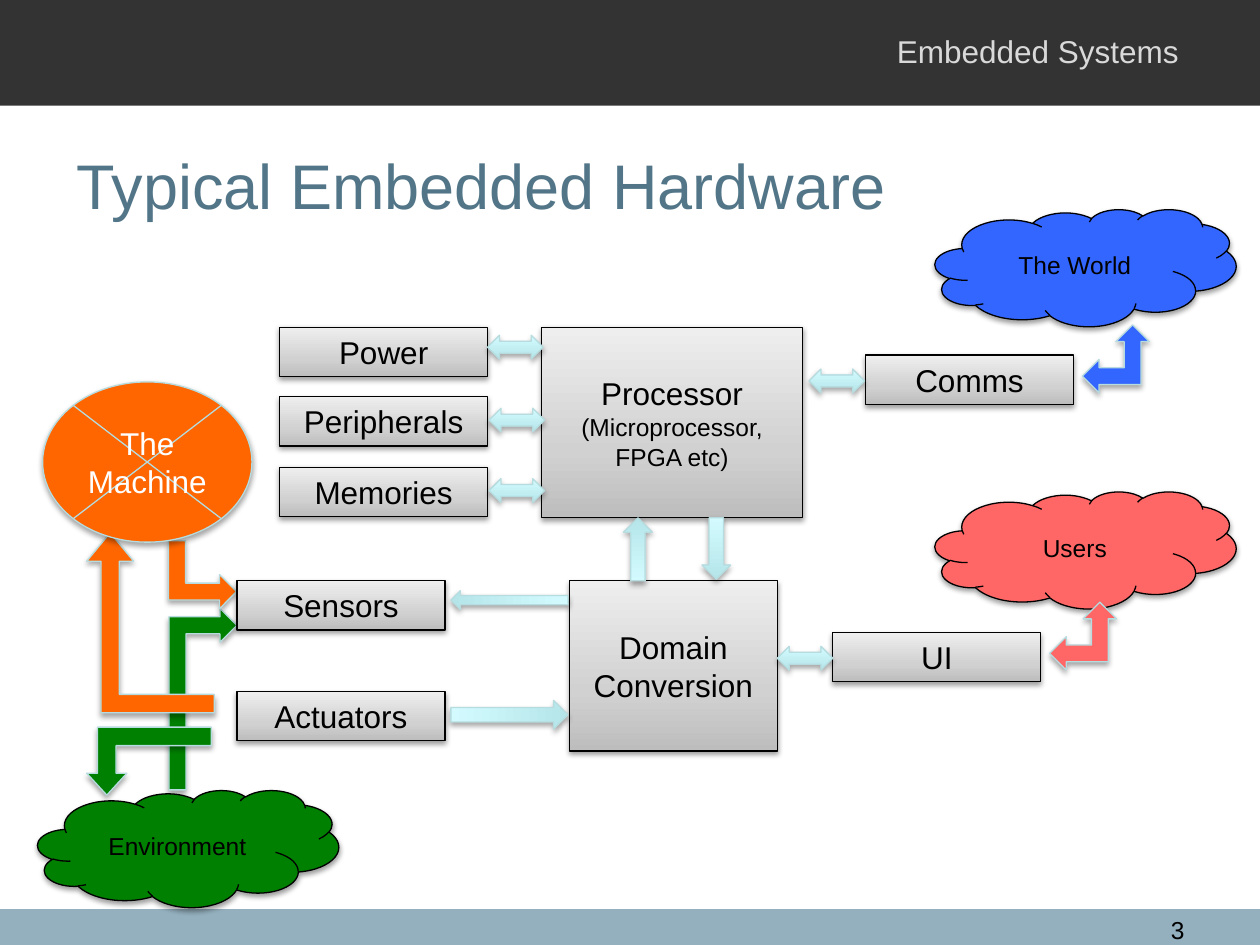
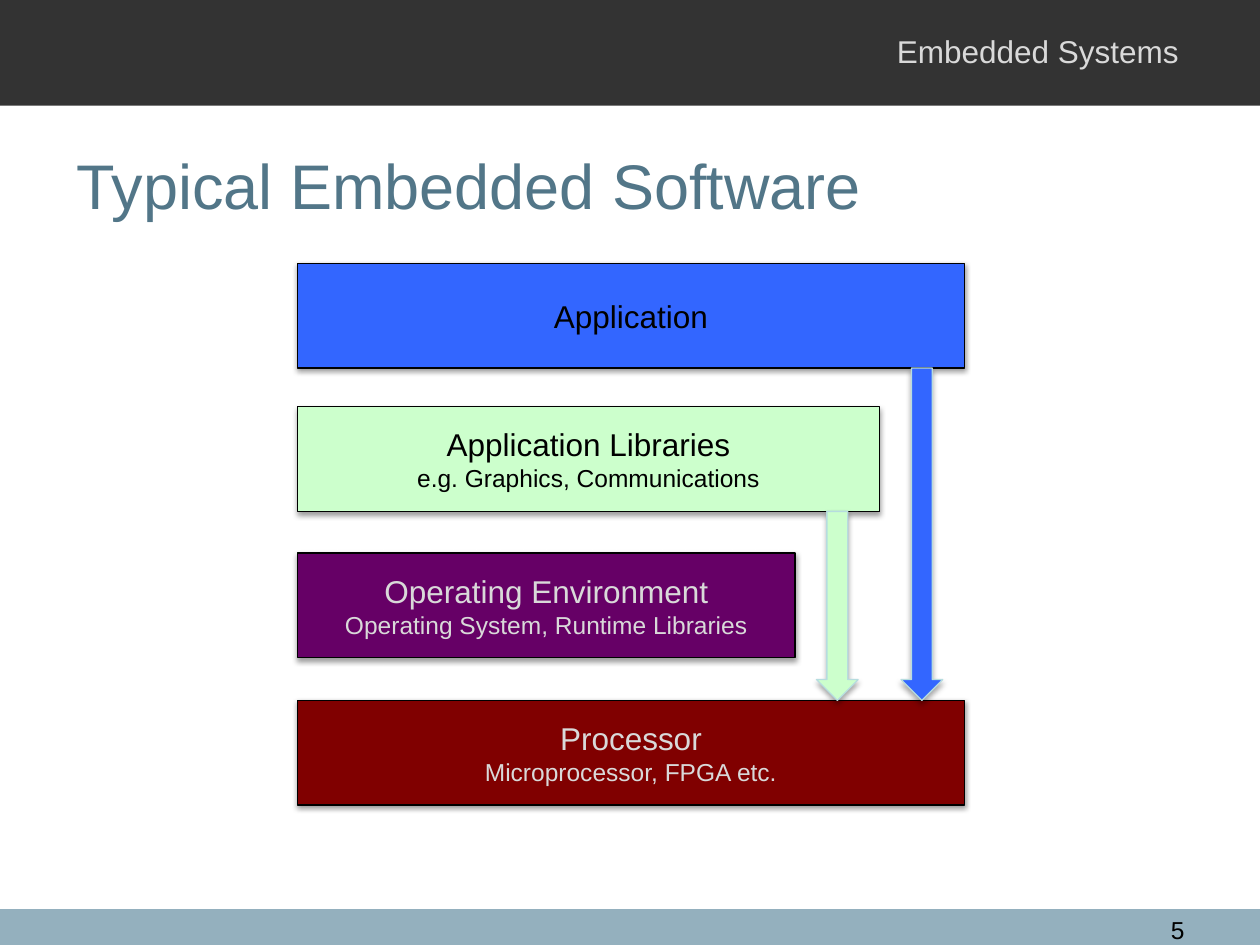
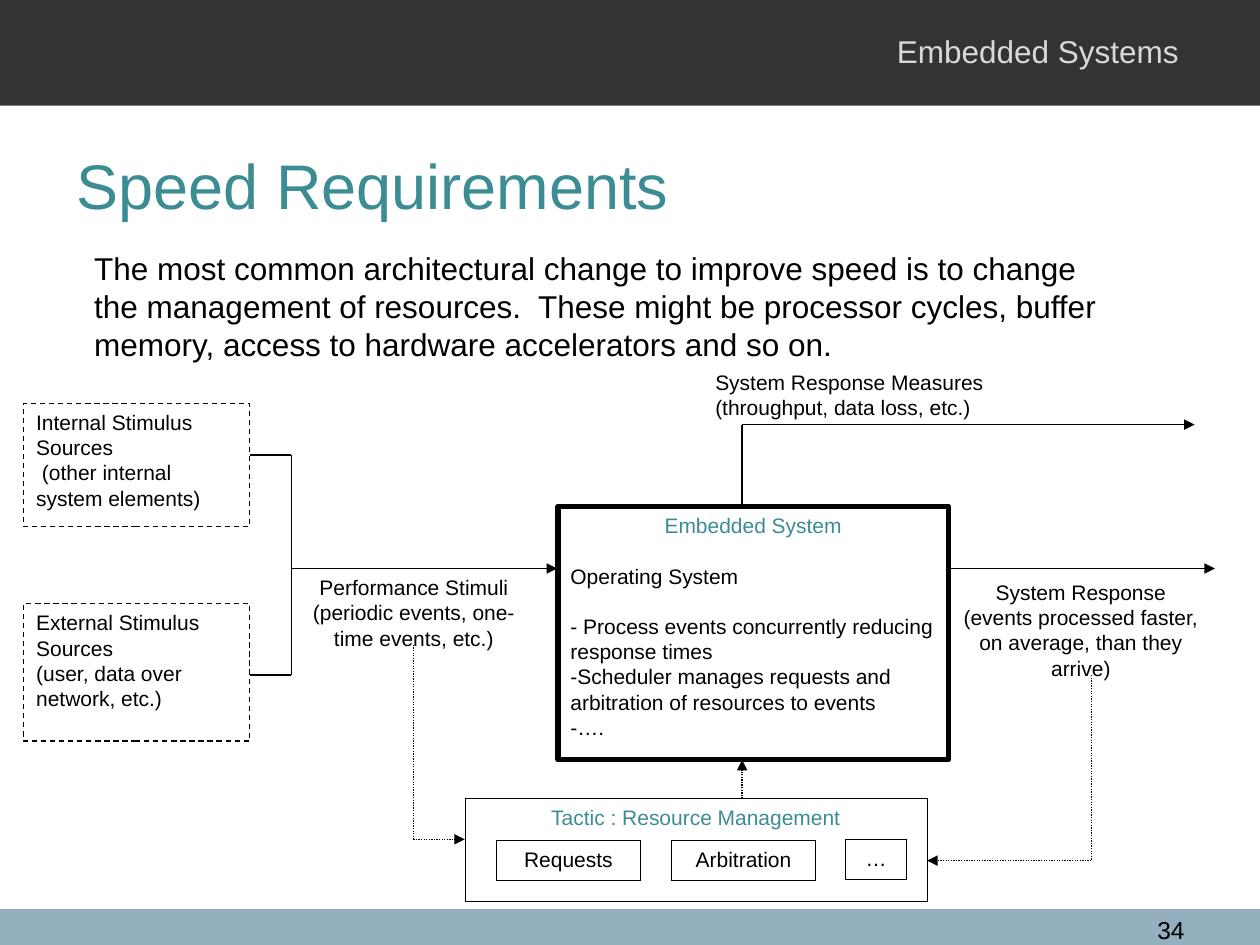
import copy
import itertools

import lxml.etree
import pptx
import pptx.dml.color
import pptx.enum.dml
import pptx.enum.shapes
import pptx.enum.text
import pptx.oxml.ns
import pptx.util

Cm, Pt = pptx.util.Cm, pptx.util.Pt
RGB = pptx.dml.color.RGBColor
SHAPE = pptx.enum.shapes.MSO_SHAPE
DASH = pptx.enum.dml.MSO_LINE.DASH
DOT = pptx.enum.dml.MSO_LINE.ROUND_DOT
ALIGN = pptx.enum.text.PP_ALIGN
ANCHOR = pptx.enum.text.MSO_ANCHOR
qn = pptx.oxml.ns.qn

# Colours
BLACK, WHITE = RGB(0, 0, 0), RGB(255, 255, 255)
DARK, PALE = RGB(0x33, 0x33, 0x33), RGB(0xD9, 0xD9, 0xD9)
STEEL, SLATE = RGB(0x94, 0xB0, 0xBE), RGB(0x52, 0x76, 0x88)
TEAL, EDGE = RGB(0x3C, 0x8C, 0x93), RGB(0xB6, 0xDC, 0xDF)
GREEN, ORANGE = RGB(0, 0x80, 0), RGB(0xFF, 0x66, 0)
BLUE, CORAL = RGB(0x33, 0x66, 0xFF), RGB(0xFF, 0x66, 0x66)
MINT, PLUM = RGB(0xCC, 0xFF, 0xCC), RGB(0x66, 0, 0x66)
MAROON = RGB(0x80, 0, 0)
GREY = [(0, RGB(0xBD, 0xBD, 0xBD)), (0.35, RGB(0xD1, 0xD1, 0xD1)),
        (1, RGB(0xEE, 0xEE, 0xEE))]
CYAN = [(0, RGB(0xB5, 0xE5, 0xE9)), (1, RGB(0xD3, 0xFB, 0xFF))]

# Shared content
WIDTH, HEIGHT = 25.4, 19.05
BRAND = "Embedded Systems"
SMALL = {"size": 14}

# Hardware slide: lengths in cm
BOX, CLOUD = (4.19, 0.99), (6.07, 2.36)
BENTS = [  # box, colour, turn, flips, adjustments
    ((2.26, 13.41, 3.66, 1.37), GREEN, 270, "V", ()),
    ((1.75, 14.66, 2.51, 1.37), GREEN, 0, "HV", (0.272, 0.295, 0.322)),
    ((1.75, 10.74, 2.57, 3.63), ORANGE, 0, "H", (0.144, 0.184, 0.224)),
    ((3.4, 10.9, 1.37, 1.37), ORANGE, 270, "HV", ()),
]
BLOCKS = [
    ((10.92, 6.6, 5.26, 3.84),
     ["Processor", ("(Microprocessor, FPGA etc)", SMALL)]),
    ((11.48, 11.71, 4.19, 3.43), ["Domain Conversion"]),
]
UNITS = [
    ("Power", 5.64, 6.6), ("Peripherals", 5.64, 8), ("Memories", 5.64, 9.42),
    ("Sensors", 4.78, 11.71), ("Actuators", 4.78, 13.94),
    ("UI", 16.79, 12.75), ("Comms", 17.45, 7.16),
]
CLOUDS = [("Users", 18.85, 9.91, CORAL), ("The World", 18.85, 4.22, BLUE),
          ("Environment", 0.76, 15.93, GREEN)]
FLOWS = [  # box, turn, flips
    ((14.15, 10.44, 0.58, 1.24), 0, ""),
    ((12.57, 10.44, 0.58, 1.27), 0, "V"),
    ((10.08, 10.92, 0.38, 2.36), 270, "V"),
    ((9.98, 13.23, 0.58, 2.36), 90, "HV"),
]
LINKS = [(9.83, 6.76), (9.86, 8.23), (9.86, 9.65), (15.67, 13.03), (16.31, 7.44)]
CORNERS = [(21.16, 12.14, CORAL), (21.82, 6.55, BLUE)]

# Software slide: lines, top, width, fill, text colour
LEFT, DEEP, SHAFT = 6, 2.11, 0.84
LAYERS = [
    (["Application"], 5.31, 13.44, BLUE, BLACK),
    (["Application Libraries", ("e.g. Graphics, Communications", SMALL)],
     8.2, 11.73, MINT, BLACK),
    (["Operating Environment", ("Operating System, Runtime Libraries", SMALL)],
     11.15, 10.03, PLUM, PALE),
    (["Processor", ("Microprocessor, FPGA etc.", SMALL)],
     14.12, 13.44, MAROON, PALE),
]

# Speed slide
INTRO = ("The most common architectural change to improve speed is to change "
         "the management of resources.  These might be processor cycles, buffer "
         "memory, access to hardware accelerators and so on.")
BODY = {"align": ALIGN.LEFT}
GAP = {"align": ALIGN.LEFT, "gap": 14.4}
HEAD = {"color": TEAL}
PANELS = [  # box, line width, dash, align, lines
    ((0.48, 8.13, 4.55, 2.49), 0.75, DASH, ALIGN.LEFT,
     ["Internal Stimulus Sources", " (other internal system elements)"]),
    ((0.48, 12.17, 4.55, 2.77), 0.75, DASH, ALIGN.LEFT,
     ["External Stimulus Sources", "(user, data over network, etc.)"]),
    ((11.25, 10.21, 7.87, 5.11), 3, None, ALIGN.CENTER,
     [("Embedded System", HEAD), ("Operating System", GAP),
      ("- Process events concurrently reducing response times", GAP),
      ("-Scheduler manages requests and arbitration of resources to events", BODY),
      ("-….", BODY)]),
    ((9.37, 16.1, 9.32, 2.06), 0.25, DOT, ALIGN.CENTER,
     [("Tactic : Resource Management", HEAD)]),
    ((10.01, 16.94, 2.9, 0.81), 0.25, DOT, ALIGN.CENTER, ["Requests"]),
    ((13.54, 16.94, 2.9, 0.81), 0.25, DOT, ALIGN.CENTER, ["Arbitration"]),
    ((17.04, 16.92, 1.24, 0.81), 0.25, DOT, ALIGN.CENTER, ["…"]),
]
NOTES = [
    ((5.87, 11.46, 4.95, 1.24), ALIGN.CENTER,
     ["Performance Stimuli", "(periodic events, one-time events, etc.)"]),
    ((14.17, 7.32, 10.72, 1.24), ALIGN.LEFT,
     ["System Response Measures", "(throughput, data loss, etc.)"]),
    ((19.1, 11.56, 5.38, 1.24), ALIGN.CENTER,
     ["System Response", "(events processed faster, on average, than they arrive)"]),
]
ROUTES = [  # corners, dash, arrow at the end
    ([(5.03, 9.17), (5.87, 9.17), (5.87, 13.61), (5.03, 13.61)], None, False),
    ([(5.87, 11.46), (11.23, 11.46)], None, True),
    ([(19.1, 11.46), (24.49, 11.46)], None, True),
    ([(14.96, 10.21), (14.96, 8.56), (24.08, 8.56)], None, True),
    ([(14.96, 16.1), (14.96, 15.32)], DOT, True),
    ([(8.33, 13), (8.33, 16.92), (9.37, 16.92)], DOT, True),
    ([(22, 13.61), (22, 17.35), (18.69, 17.35)], DOT, True),
]


def write(shape, lines, size=18, color=BLACK, align=ALIGN.CENTER,
          anchor=ANCHOR.MIDDLE):
    """Fill a shape with lines; a line may be (text, overrides)."""
    frame = shape.text_frame
    frame.word_wrap = True
    frame.vertical_anchor = anchor
    for i, line in enumerate(lines):
        text, opts = (line, {}) if isinstance(line, str) else line
        para = frame.paragraphs[0] if i == 0 else frame.add_paragraph()
        para.text = text
        para.alignment = opts.get("align", align)
        para.space_before = Pt(opts.get("gap", 0))
        para.font.name = "Arial"
        para.font.size = Pt(opts.get("size", size))
        para.font.color.rgb = opts.get("color", color)


def label(slide, box, lines, **style):
    write(slide.shapes.add_textbox(*map(Cm, box)), lines, **style)


def paint(shape, fill):
    """Fill with one colour or with a list of gradient stops."""
    if not isinstance(fill, list):
        shape.fill.solid()
        shape.fill.fore_color.rgb = fill
        return
    shape.fill.gradient()
    shape.fill.gradient_angle = 90
    stops = shape._element.spPr.find(".//" + qn("a:gsLst"))
    while len(stops) < len(fill):
        stops.append(copy.deepcopy(stops[0]))
    for stop, (place, color) in zip(shape.fill.gradient_stops, fill):
        stop.position = place
        stop.color.rgb = color


def shade(shape, alpha, drop):
    glow = lxml.etree.SubElement(
        shape._element.spPr.find(qn("a:effectLst")), qn("a:outerShdw"),
        blurRad="40000", dist=str(drop), dir="5400000", rotWithShape="0")
    color = lxml.etree.SubElement(glow, qn("a:srgbClr"), val="000000")
    lxml.etree.SubElement(color, qn("a:alpha"), val=str(alpha * 1000))


def draw(slide, kind, box, fill, edge=None, width=0.75, dash=None):
    shape = slide.shapes.add_shape(kind, *map(Cm, box))
    shape.shadow.inherit = False
    paint(shape, fill)
    if edge is None:
        shape.line.fill.background()
    else:
        shape.line.color.rgb = edge
        shape.line.width = Pt(width)
        if dash:
            shape.line.dash_style = dash
    return shape


def node(slide, box, fill, lines, kind=SHAPE.RECTANGLE, **style):
    shape = draw(slide, kind, box, fill, BLACK)
    shade(shape, 38, 20000)
    write(shape, lines, **style)


def arrow(slide, kind, box, fill, turn=0, flips="", adjust=()):
    shape = draw(slide, kind, box, fill, EDGE)
    shade(shape, 35, 23000)
    shape.rotation = turn
    for axis in flips:
        shape._element.spPr.find(qn("a:xfrm")).set("flip" + axis, "1")
    for i, value in enumerate(adjust):
        shape.adjustments[i] = value
    return shape


def route(slide, points, dash, tip):
    """Join the points by straight lines, with an arrowhead on the last."""
    for start, end in itertools.pairwise(points):
        line = slide.shapes.add_connector(
            pptx.enum.shapes.MSO_CONNECTOR.STRAIGHT, *map(Cm, start + end))
        line.line.color.rgb = BLACK
        line.line.width = Pt(0.75)
        if dash:
            line.line.dash_style = dash
        props = line._element.spPr
        if tip and end == points[-1]:
            lxml.etree.SubElement(props.find(qn("a:ln")), qn("a:tailEnd"),
                                  type="triangle")
        lxml.etree.SubElement(props, qn("a:effectLst"))


def start(deck, title, number, color=SLATE):
    """Add a slide with bands, title and page number."""
    slide = deck.slides.add_slide(deck.slide_layouts[6])
    draw(slide, SHAPE.RECTANGLE, (0, 18.33, WIDTH, HEIGHT - 18.33), STEEL)
    draw(slide, SHAPE.RECTANGLE, (0, 0, WIDTH, 2.13), DARK)
    label(slide, (17.83, 0.53, 6.35, 1.02), [BRAND], color=PALE,
          align=ALIGN.LEFT, anchor=ANCHOR.TOP)
    label(slide, (1.3, 2.13, 22.86, 3.18), [title], size=36, color=color,
          align=ALIGN.LEFT)
    label(slide, (22.5, 18.33, 1.63, 0.61), [number], size=14,
          align=ALIGN.RIGHT, anchor=ANCHOR.TOP)
    return slide


def hardware(deck):
    slide = start(deck, "Typical Embedded Hardware", "3")
    for box, fill, turn, flips, adjust in BENTS:
        arrow(slide, SHAPE.BENT_UP_ARROW, box, fill, turn, flips, adjust)
    for box, lines in BLOCKS:
        node(slide, box, GREY, lines)
    for name, x, y in UNITS:
        node(slide, (x, y, *BOX), GREY, [name])
    for name, x, y, fill in CLOUDS:
        node(slide, (x, y, *CLOUD), fill, [name], SHAPE.CLOUD, size=14)
    plant = arrow(slide, SHAPE.FLOWCHART_SUMMING_JUNCTION,
                  (0.86, 7.7, 4.22, 3.23), ORANGE)
    write(plant, ["The Machine"], color=WHITE)
    for box, turn, flips in FLOWS:
        arrow(slide, SHAPE.DOWN_ARROW, box, CYAN, turn, flips)
    for x, y in LINKS:
        arrow(slide, SHAPE.LEFT_RIGHT_ARROW, (x, y, 1.12, 0.48), CYAN)
    for x, y, fill in CORNERS:
        arrow(slide, SHAPE.LEFT_UP_ARROW, (x, y, 1.35, 1.37), fill)


def software(deck):
    slide = start(deck, "Typical Embedded Software", "5")
    for lines, top, wide, fill, color in LAYERS:
        node(slide, (LEFT, top, wide, DEEP), fill, lines, color=color)
    # Each arrow runs in the strip left free by the layer below
    floor = LAYERS[-1][1]
    for upper, lower in itertools.pairwise(LAYERS[:3]):
        top = upper[1] + DEEP
        x = LEFT + (upper[2] + lower[2] - SHAFT) / 2
        arrow(slide, SHAPE.DOWN_ARROW, (x, top, SHAFT, floor - top), upper[3])


def speed(deck):
    slide = start(deck, "Speed Requirements", "34", TEAL)
    for box, width, dash, align, lines in PANELS:
        panel = draw(slide, SHAPE.RECTANGLE, box, WHITE, BLACK, width, dash)
        write(panel, lines, size=12, align=align, anchor=ANCHOR.TOP)
    for points, dash, tip in ROUTES:
        route(slide, points, dash, tip)
    for box, align, lines in NOTES:
        label(slide, box, lines, size=12, align=align, anchor=ANCHOR.TOP)
    label(slide, (1.65, 4.9, 21.23, 2.57), [INTRO], align=ALIGN.LEFT,
          anchor=ANCHOR.TOP)


def main():
    deck = pptx.Presentation()
    deck.slide_width, deck.slide_height = Cm(WIDTH), Cm(HEIGHT)
    hardware(deck)
    software(deck)
    speed(deck)
    deck.save("out.pptx")


if __name__ == "__main__":
    main()
